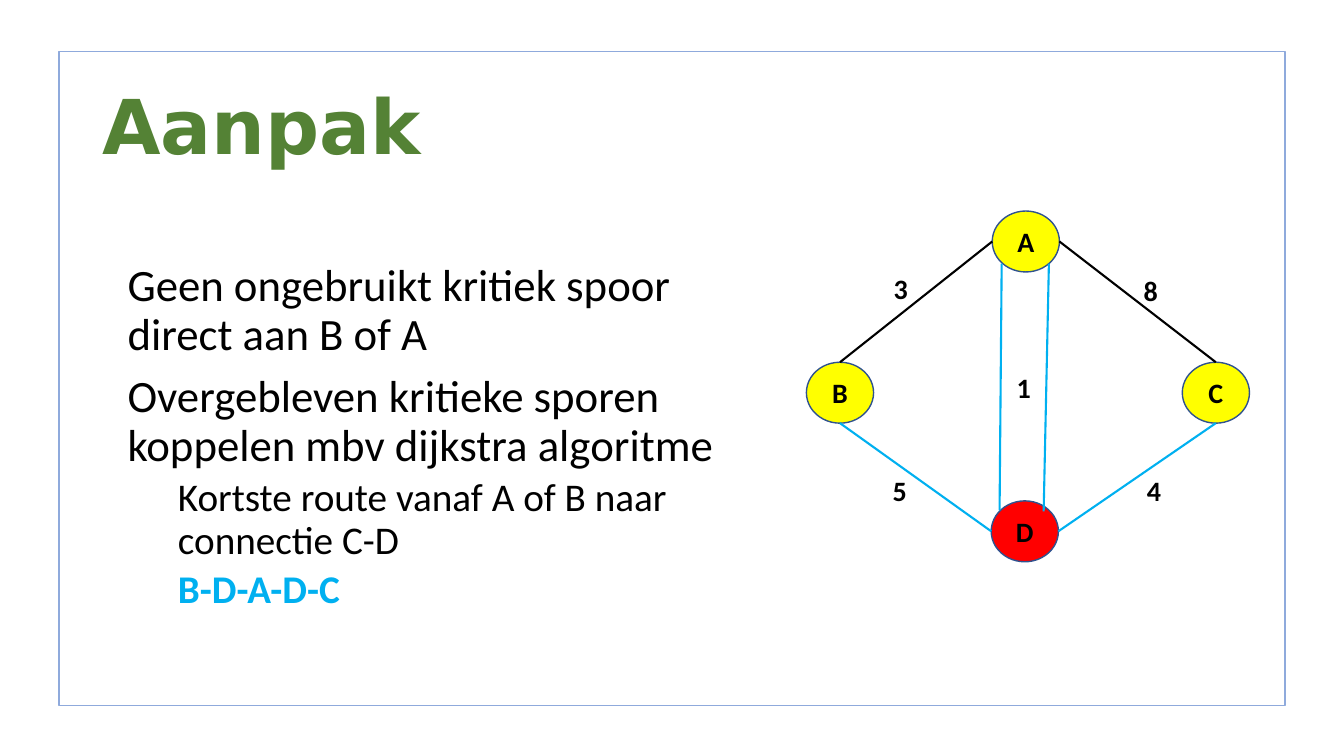
from dataclasses import dataclass

from lxml.etree import SubElement
from pptx import Presentation
from pptx.dml.color import RGBColor
from pptx.enum.shapes import MSO_CONNECTOR, MSO_SHAPE
from pptx.enum.text import MSO_ANCHOR, PP_ALIGN
from pptx.oxml.ns import qn
from pptx.util import Pt

EMU_PER_PX = 9525


@dataclass(frozen=True)
class Theme:
    white: str = "FFFFFF"
    black: str = "000000"
    green: str = "548235"
    yellow: str = "FFFF00"
    red: str = "FF0000"
    route: str = "00B0F0"
    frame_line: str = "8FAADC"
    node_line: str = "2F528F"
    title_font: str = "DejaVu Sans"
    body_font: str = "Calibri"
    title_size: int = 54
    body_size: int = 32
    sub_size: int = 28
    label_size: int = 20


THEME = Theme()
NODE_WIDTH, NODE_HEIGHT = 64, 58
LABEL_WIDTH, LABEL_HEIGHT = 40, 42

# Name, left, top, fill
NODES = [
    ("A", 945, 201, THEME.yellow),
    ("B", 768, 345, THEME.yellow),
    ("C", 1126, 345, THEME.yellow),
    ("D", 944, 477, THEME.red),
]
# Start node and side, end node and side, colour
EDGES = [
    ("B", "top", "A", "left", THEME.black),
    ("D", "left", "B", "bottom", THEME.route),
    ("C", "top", "A", "right", THEME.black),
    ("D", "right", "C", "bottom", THEME.route),
]
DOUBLE_EDGE = [((954, 251), (952, 486)), ((999, 251), (994, 487))]
# Weight, centre x, centre y
WEIGHTS = [("8", 1096, 276), ("1", 975, 369), ("3", 858, 275), ("5", 857, 467), ("4", 1099, 467)]
# Text, indent, space before, size, colour, bold
POINTS = [
    ("Geen ongebruikt kritiek spoor direct aan B of A", 24, 0, THEME.body_size, THEME.black, False),
    ("Overgebleven kritieke sporen koppelen mbv dijkstra algoritme",
     24, 10, THEME.body_size, THEME.black, False),
    ("Kortste route vanaf A of B naar connectie C-D", 72, 5, THEME.sub_size, THEME.black, False),
    ("B-D-A-D-C", 72, 5, THEME.sub_size, THEME.route, True),
]


def px(*lengths):
    return [round(length * EMU_PER_PX) for length in lengths]


def rgb(colour):
    return RGBColor.from_string(colour)


def add_span(para, text, size, colour, bold=True, font=THEME.body_font):
    span = para.add_run()
    span.text = text
    span.font.name = font
    span.font.size = Pt(size)
    span.font.bold = bold
    span.font.color.rgb = rgb(colour)


def add_outlined(page, kind, left, top, width, height, fill, line):
    shape = page.shapes.add_shape(kind, *px(left, top, width, height))
    shape.shadow.inherit = False
    shape.fill.solid()
    shape.fill.fore_color.rgb = rgb(fill)
    shape.line.color.rgb = rgb(line)
    shape.line.width = Pt(1)
    return shape


def add_text_box(page, left, top, width, height, anchor, wrap=True):
    box = page.shapes.add_textbox(*px(left, top, width, height))
    box.text_frame.word_wrap = wrap
    box.text_frame.vertical_anchor = anchor
    return box


def add_label(frame, text):
    """Write one short centred label in a text frame."""
    frame.word_wrap = False
    frame.vertical_anchor = MSO_ANCHOR.MIDDLE
    para = frame.paragraphs[0]
    para.alignment = PP_ALIGN.CENTER
    add_span(para, text, THEME.label_size, THEME.black)


def add_line(page, start, end, colour):
    line = page.shapes.add_connector(MSO_CONNECTOR.STRAIGHT, *px(*start, *end))
    line.line.color.rgb = rgb(colour)
    line.line.width = Pt(1.5)
    SubElement(line._element.spPr, qn("a:effectLst"))


def side_points(left, top):
    """Map each side of a node to the point in its middle."""
    middle_x, middle_y = left + NODE_WIDTH // 2, top + NODE_HEIGHT // 2
    return {
        "top": (middle_x, top),
        "left": (left, middle_y),
        "bottom": (middle_x, top + NODE_HEIGHT),
        "right": (left + NODE_WIDTH, middle_y),
    }


def add_title(page, text):
    box = add_text_box(page, 88, 54, 1104, 139, MSO_ANCHOR.MIDDLE)
    para = box.text_frame.paragraphs[0]
    para.line_spacing = 0.9
    add_span(para, text, THEME.title_size, THEME.green, font=THEME.title_font)


def add_points(page):
    frame = add_text_box(page, 88, 246, 648, 415, MSO_ANCHOR.TOP).text_frame
    for index, (text, indent, before, size, colour, bold) in enumerate(POINTS):
        para = frame.add_paragraph() if index else frame.paragraphs[0]
        para.line_spacing = 0.9
        para.space_before = Pt(before)
        para._p.get_or_add_pPr().set("marL", str(px(indent)[0]))
        add_span(para, text, size, colour, bold)


def add_graph(page):
    sides = {}
    for name, left, top, fill in NODES:
        node = add_outlined(page, MSO_SHAPE.OVAL, left, top, NODE_WIDTH, NODE_HEIGHT,
                            fill, THEME.node_line)
        add_label(node.text_frame, name)
        sides[name] = side_points(left, top)
    for start, start_side, end, end_side, colour in EDGES:
        add_line(page, sides[start][start_side], sides[end][end_side], colour)
    for start, end in DOUBLE_EDGE:
        add_line(page, start, end, THEME.route)
    for weight, x, y in WEIGHTS:
        box = add_text_box(page, x - LABEL_WIDTH // 2, y - LABEL_HEIGHT // 2,
                           LABEL_WIDTH, LABEL_HEIGHT, MSO_ANCHOR.MIDDLE, wrap=False)
        add_label(box.text_frame, weight)


def main():
    deck = Presentation()
    deck.slide_width, deck.slide_height = px(1280, 720)
    page = deck.slides.add_slide(deck.slide_layouts[6])
    add_outlined(page, MSO_SHAPE.RECTANGLE, 56, 49, 1168, 623, THEME.white, THEME.frame_line)
    add_title(page, "Aanpak")
    add_graph(page)
    add_points(page)
    deck.save("out.pptx")


if __name__ == "__main__":
    main()
